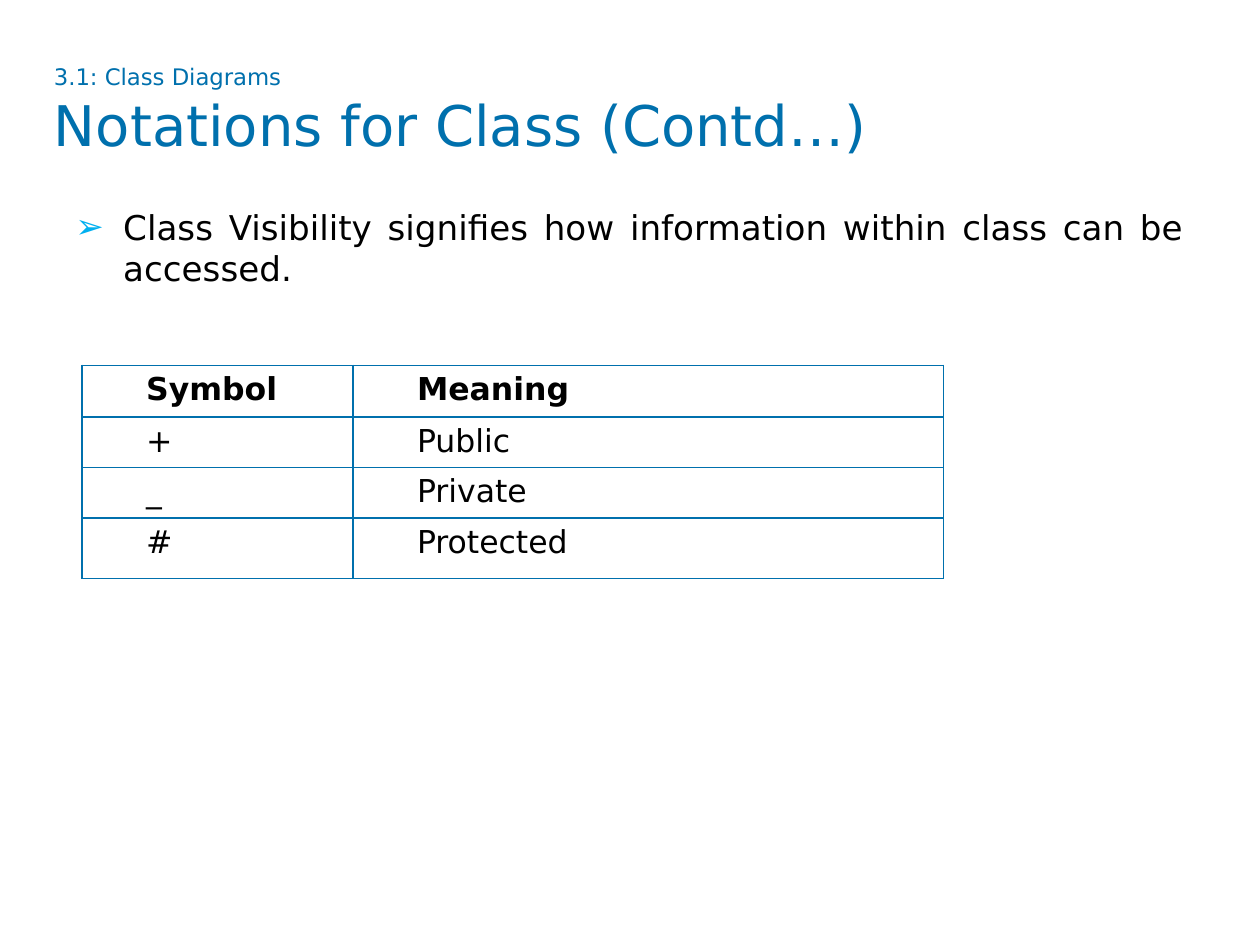
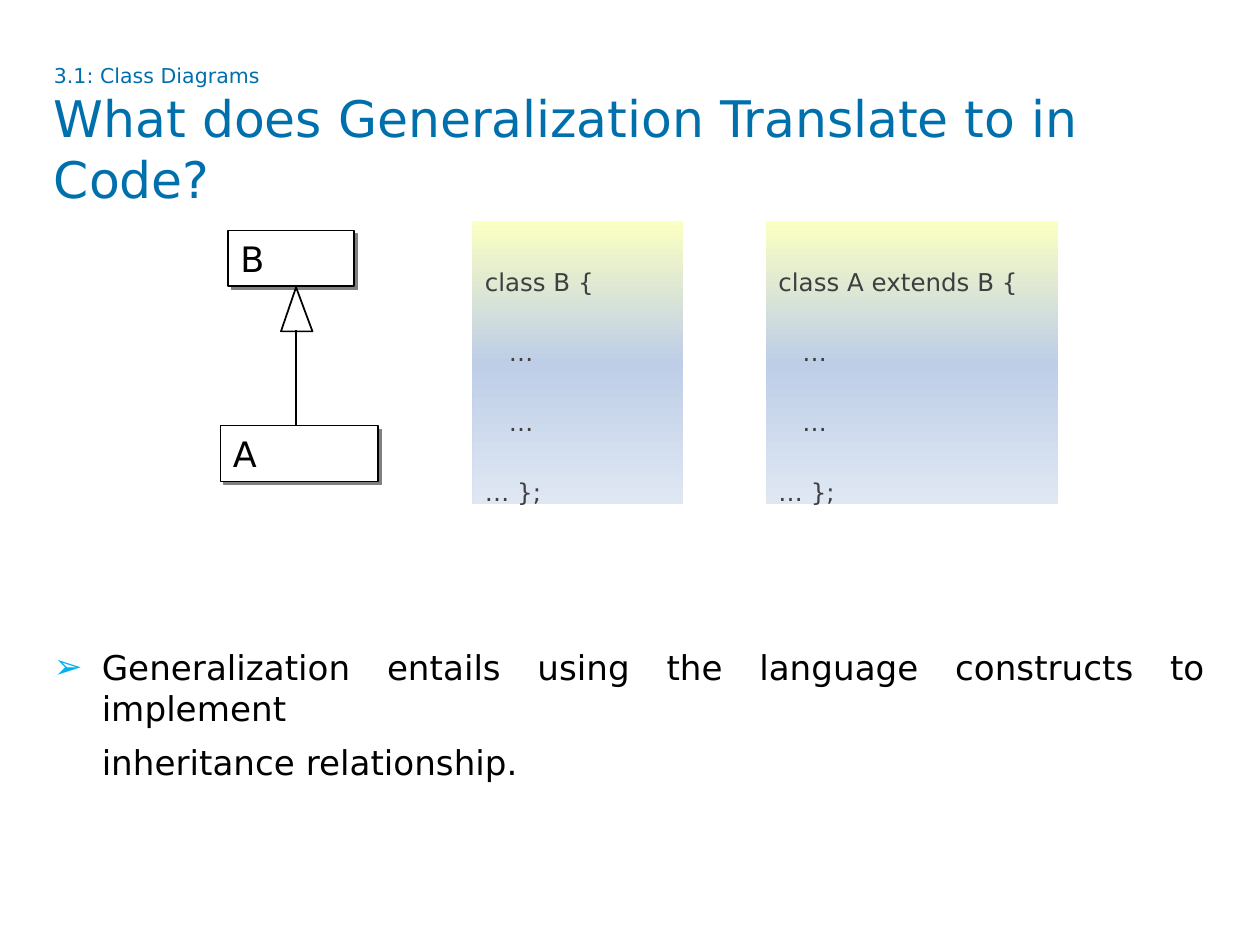
"""Build two slides on class diagrams."""
from typing import Any, NamedTuple

from lxml.etree import SubElement
from pptx import Presentation
from pptx.dml.color import RGBColor
from pptx.enum.shapes import MSO_CONNECTOR, MSO_SHAPE
from pptx.enum.text import MSO_ANCHOR, PP_ALIGN
from pptx.oxml.ns import qn
from pptx.util import Inches, Pt

FONT = "DejaVu Sans"
BLUE = RGBColor(0x00, 0x70, 0xAD)
SKY = RGBColor(0x00, 0xB0, 0xF0)
BLACK = RGBColor(0x00, 0x00, 0x00)
WHITE = RGBColor(0xFF, 0xFF, 0xFF)
GRAY = RGBColor(0x80, 0x80, 0x80)
DARK = RGBColor(0x3F, 0x3F, 0x3F)
FADE = (
    (0, RGBColor(0xFB, 0xFF, 0xC2)),
    (50, RGBColor(0xBE, 0xCE, 0xE7)),
    (100, RGBColor(0xDF, 0xE7, 0xF3)),
)
HANG = 0.38


class Area(NamedTuple):
    """Place and size in inches."""
    left: float
    top: float
    width: float
    height: float

    def size(self) -> list[int]:
        """Return the four lengths."""
        return [Inches(v) for v in self]


class Node(NamedTuple):
    """A class box in the diagram."""
    name: str
    area: Area


class Code(NamedTuple):
    """A panel that shows a class in code."""
    head: str
    area: Area


HEAD = Area(0.33, 0.45, 9.33, 0.94)
NODES = (
    Node("B", Area(1.81, 1.83, 1, 0.44)),
    Node("A", Area(1.75, 3.38, 1.25, 0.44)),
)
CODES = (
    Code("class B {", Area(3.75, 1.75, 1.67, 2.25)),
    Code("class A extends B {", Area(6.08, 1.75, 2.32, 2.25)),
)
STEM = 2.35
STOPS = (2.62, 2.96, 3.38)
ARROW = ((STEM, 2.28), (2.48, 2.63), (2.23, 2.63))
COLS = (2.15, 4.69)
ROWS = (0.41, 0.4, 0.39, 0.48)
SIGNS = (
    ("Symbol", "Meaning"),
    ("+", "Public"),
    ("_", "Private"),
    ("#", "Protected"),
)


def tint(node: Any, color: RGBColor) -> None:
    """Add a colour to an XML node."""
    SubElement(node, qn("a:srgbClr"), val=str(color))


def put(frame: Any, text: str, *, size: float, color: RGBColor = BLACK,
        bold: bool = False, align: PP_ALIGN = PP_ALIGN.LEFT, left: float = 0,
        before: float = 0, pitch: float | None = None, mark: str = "") -> None:
    """Add a paragraph of text to a frame."""
    para = frame.paragraphs[0] if not frame.text else frame.add_paragraph()
    para.alignment = align
    para.space_before = Pt(before)
    if pitch:
        para.line_spacing = Pt(pitch)
    run = para.add_run()
    run.text = text
    font = run.font
    font.name, font.size, font.bold = FONT, Pt(size), bold
    font.color.rgb = color
    props = para._p.get_or_add_pPr()
    props.set("marL", str(Inches(left)))
    props.set("indent", str(-Inches(left) if mark else 0))
    if mark:
        tint(SubElement(props, qn("a:buClr")), SKY)
        SubElement(props, qn("a:buFont"), typeface=FONT)
        SubElement(props, qn("a:buChar"), char=mark)


def add_box(slide: Any, area: Area) -> Any:
    """Add a text box that wraps and return its frame."""
    frame = slide.shapes.add_textbox(*area.size()).text_frame
    frame.word_wrap = True
    return frame


def add_head(slide: Any, title: str, small: float, large: float) -> None:
    """Draw the section name and the slide title."""
    frame = add_box(slide, HEAD)
    put(frame, "3.1: Class Diagrams", size=small, color=BLUE)
    put(frame, title, size=large, color=BLUE)


def add_body(slide: Any, area: Area, point: str, *more: str) -> None:
    """Draw a bullet point and the lines that follow it."""
    frame = add_box(slide, area)
    for num, text in enumerate((point, *more)):
        put(frame, text, size=19.5, align=PP_ALIGN.JUSTIFY, left=HANG,
            before=7.5, mark="" if num else "➢")


def add_edge(cell: Any) -> None:
    """Draw the four borders of a cell."""
    props = cell._tc.get_or_add_tcPr()
    for side in ("lnL", "lnR", "lnT", "lnB"):
        line = SubElement(props, qn(f"a:{side}"), w=str(Pt(1)))
        tint(SubElement(line, qn("a:solidFill")), BLUE)


def add_signs(slide: Any) -> None:
    """Draw the table of visibility signs."""
    area = Area(0.65, 2.9, sum(COLS), sum(ROWS))
    table = slide.shapes.add_table(len(ROWS), len(COLS), *area.size()).table
    table.first_row = table.horz_banding = False
    for col, width in zip(table.columns, COLS):
        col.width = Inches(width)
    for num, (row, high) in enumerate(zip(table.rows, ROWS)):
        row.height = Inches(high)
        for cell, text in zip(row.cells, SIGNS[num]):
            cell.margin_left = cell.margin_right = Inches(0.51)
            add_edge(cell)
            cell.fill.background()
            put(cell.text_frame, text, size=18, bold=num == 0)


def add_rect(slide: Any, area: Area, anchor: MSO_ANCHOR) -> Any:
    """Add a plain rectangle."""
    shape = slide.shapes.add_shape(MSO_SHAPE.RECTANGLE, *area.size())
    shape.shadow.inherit = False
    shape.text_frame.vertical_anchor = anchor
    return shape


def ink(shape: Any, width: float) -> None:
    """Give a shape a black line."""
    shape.line.color.rgb = BLACK
    shape.line.width = Pt(width)


def add_node(slide: Any, node: Node) -> None:
    """Draw a class box with a hard shadow."""
    shape = add_rect(slide, node.area, MSO_ANCHOR.MIDDLE)
    shape.fill.solid()
    shape.fill.fore_color.rgb = WHITE
    ink(shape, 0.75)
    effect = shape._element.spPr.find(qn("a:effectLst"))
    shade = SubElement(effect, qn("a:outerShdw"), dist=str(Pt(2.8)),
                       dir="2700000", algn="ctr", rotWithShape="0")
    tint(shade, GRAY)
    put(shape.text_frame, node.name, size=20)


def add_code(slide: Any, code: Code) -> None:
    """Draw a code panel with a gradient."""
    shape = add_rect(slide, code.area, MSO_ANCHOR.TOP)
    shape.line.fill.background()
    shape.fill.gradient()
    shape.fill.gradient_angle = 270
    stops = shape._element.spPr.find(qn("a:gradFill")).find(qn("a:gsLst"))
    for stop in list(stops):
        stops.remove(stop)
    for part, color in FADE:
        tint(SubElement(stops, qn("a:gs"), pos=str(part * 1000)), color)
    for text, left in ((code.head, 0), ("…", 0.19), ("…", 0.19), ("… };", 0)):
        put(shape.text_frame, text, size=14, color=DARK, left=left, pitch=40)


def add_arrow(slide: Any) -> None:
    """Draw the hollow arrow from A to B."""
    tip, *rest = [(Inches(x), Inches(y)) for x, y in ARROW]
    build = slide.shapes.build_freeform(*tip)
    build.add_line_segments(rest, close=True)
    shape = build.convert_to_shape()
    shape.shadow.inherit = False
    shape.fill.background()
    ink(shape, 1)
    for top, end in zip(STOPS, STOPS[1:]):
        line = slide.shapes.add_connector(
            MSO_CONNECTOR.STRAIGHT, Inches(STEM), Inches(top),
            Inches(STEM), Inches(end))
        ink(line, 0.75)
        SubElement(line._element.spPr, qn("a:effectLst"))


def draw_signs(slide: Any) -> None:
    """Draw the slide on class notation."""
    add_head(slide, "Notations for Class (Contd…)", 13, 32)
    add_signs(slide)
    add_body(slide, Area(0.5, 1.59, 9, 0.9),
             "Class Visibility signifies how information within class "
             "can be accessed.")


def draw_code(slide: Any) -> None:
    """Draw the slide on generalization."""
    add_head(slide, "What does Generalization Translate to in Code?",
             11.7, 28.8)
    add_body(slide, Area(0.33, 5.08, 9.34, 1.63),
             "Generalization entails using the language constructs "
             "to implement", "inheritance relationship.")
    for node in NODES:
        add_node(slide, node)
    add_arrow(slide)
    for code in CODES:
        add_code(slide, code)


def main() -> None:
    """Build and save the deck."""
    deck = Presentation()
    deck.slide_width, deck.slide_height = Inches(10), Inches(7.5)
    for draw in (draw_signs, draw_code):
        draw(deck.slides.add_slide(deck.slide_layouts[6]))
    deck.save("out.pptx")


if __name__ == "__main__":
    main()
